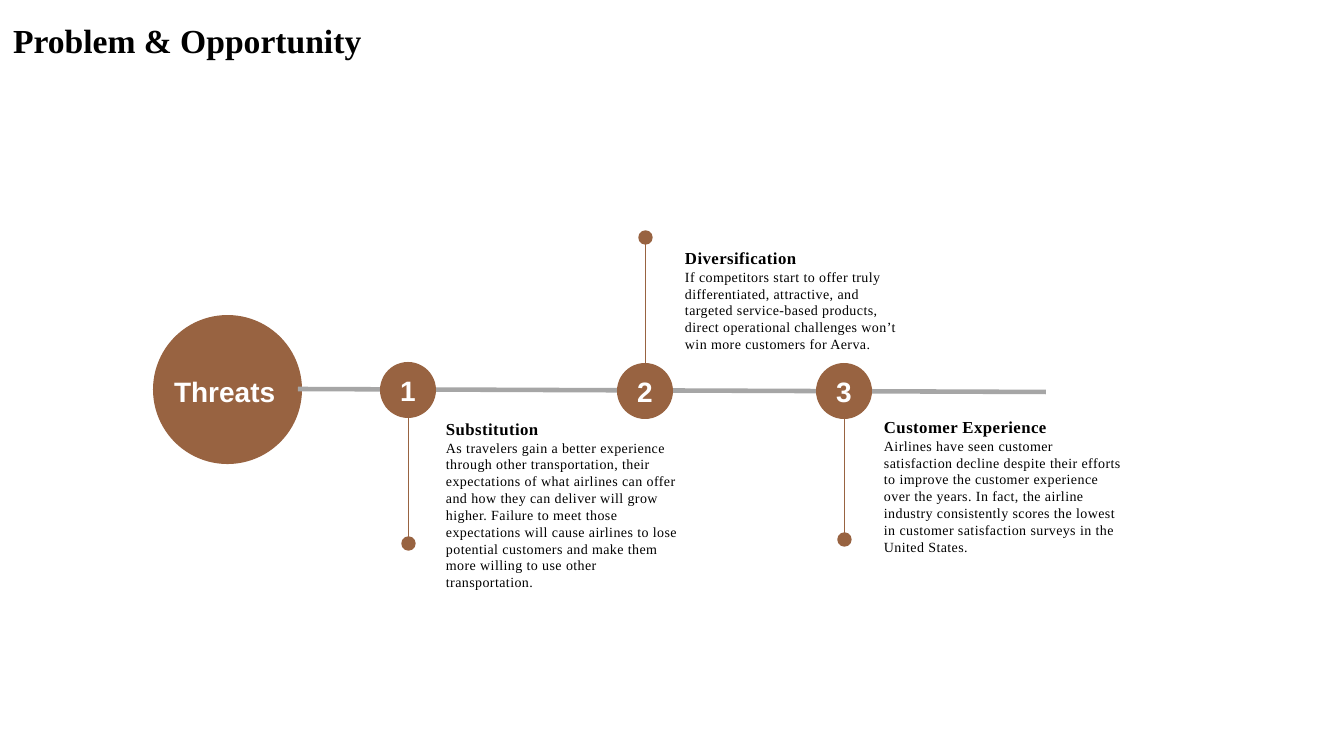
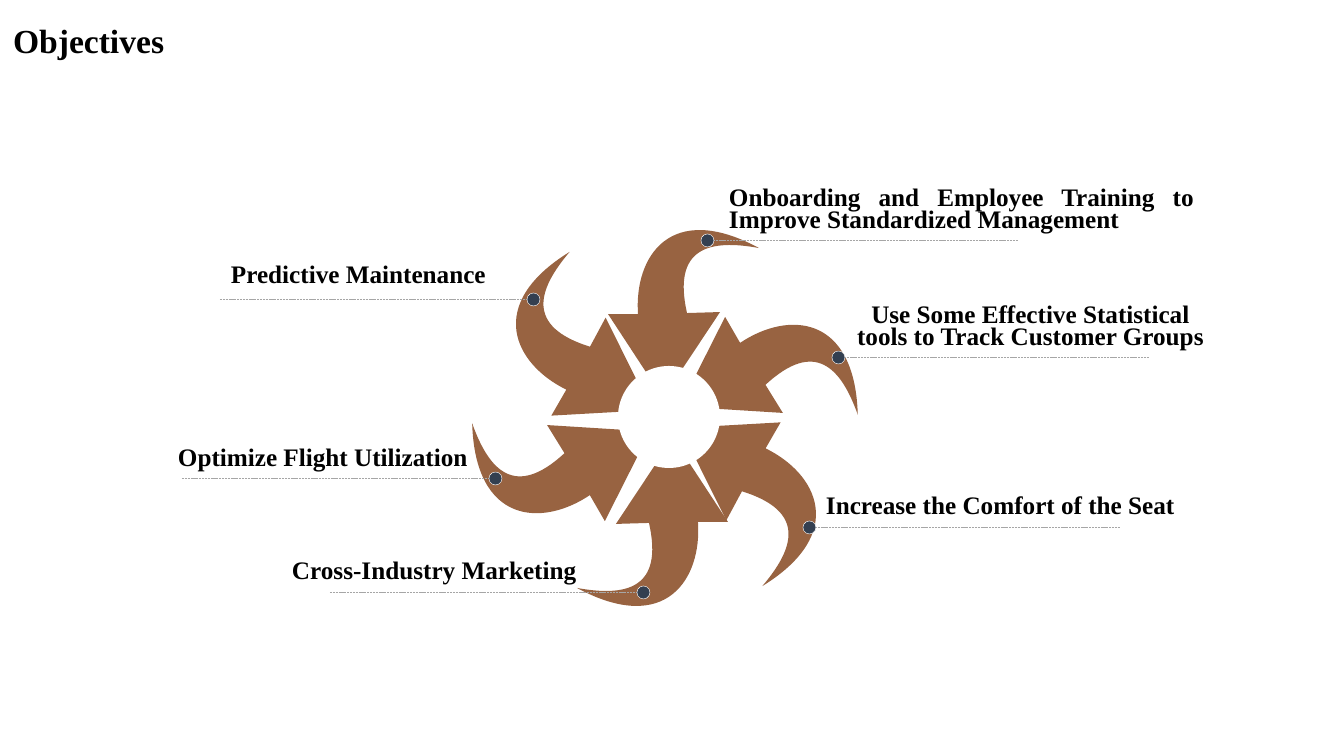
from lxml import etree
from pptx import Presentation
from pptx.dml.color import RGBColor
from pptx.enum.dml import MSO_LINE
from pptx.enum.shapes import MSO_CONNECTOR, MSO_SHAPE
from pptx.enum.text import MSO_ANCHOR, MSO_AUTO_SIZE, PP_ALIGN
from pptx.oxml.ns import qn
from pptx.util import Emu, Pt

ELLIPSE = MSO_SHAPE.OVAL
STRAIGHT = MSO_CONNECTOR.STRAIGHT
SYS_DASH = MSO_LINE.SQUARE_DOT
MIDDLE = MSO_ANCHOR.MIDDLE
TOP = MSO_ANCHOR.TOP
NO_FIT = MSO_AUTO_SIZE.NONE
LEFT, CENTER, JUSTIFY = PP_ALIGN.LEFT, PP_ALIGN.CENTER, PP_ALIGN.JUSTIFY

# Shared look
EMU_PER_PX = 914400 / 100.8
SLIDE_W, SLIDE_H = 1344, 756
BROWN, GREY, NAVY = "986341", "A6A6A6", "333F50"
BLACK, WHITE = "000000", "FFFFFF"
SERIF, SANS = "Times New Roman", "Arial"
TITLE_BOX = (0, 1, 447, 83)
INSET_X, INSET_Y = 13, 7
DOT = 13

# Timeline: marker left and top, end dot top
MARKER = 56
STOPS = [
    ("1", 380, 362, 537),
    ("3", 816, 363, 533),
    ("2", 617, 363, 231),
]
# Heading, body, box, heading line spacing
THREATS = [
    ("Substitution",
     "As travelers gain a better experience through other transportation, "
     "their expectations of what airlines can offer and how they can deliver "
     "will grow higher. Failure to meet those expectations will cause "
     "airlines to lose potential customers and make them more willing to use "
     "other transportation.",
     (433, 406, 267, 175), 1.3),
    ("Diversification",
     "If competitors start to offer truly differentiated, attractive, and "
     "targeted service-based products, direct operational challenges won’t "
     "win more customers for Aerva.",
     (672, 231, 248, 129), 1.5),
    ("Customer Experience",
     "Airlines have seen customer satisfaction decline despite their efforts "
     "to improve the customer experience over the years. In fact, the airline "
     "industry consistently scores the lowest in customer satisfaction "
     "surveys in the United States.",
     (871, 404, 267, 159), 1.3),
]

# Wheel: arrow outline inside its own box, then left, top, rotation
ARROW_H = 167
ARROW_HEAD = [(39, 86), (96, 0), (151, 84), (121, 84)]
ARROW_TAIL = [
    [(125, 141), (89, 198), (0, 150)],
    [(49, 159), (87, 151), (72, 85)],
]
ARROWS = [(577, 438, 0), (667, 404, 300), (687, 299, 240),
          (608, 231, 180), (514, 267, 120), (492, 372, 60)]
HUB = (618, 366, 102, 102)
LEADER = 308
# Text, box, alignment, dot left and top, leader direction
OBJECTIVES = [
    ("Predictive Maintenance", (218, 259, 319, 36), JUSTIFY, 527, 293, -1),
    ("Optimize Flight Utilization", (165, 442, 349, 36), LEFT, 489, 472, -1),
    ("Use Some Effective Statistical tools to Track Customer Groups",
     (838, 299, 385, 59), CENTER, 832, 351, 1),
    ("Onboarding and Employee Training to Improve Standardized Management",
     (716, 182, 491, 59), JUSTIFY, 701, 234, 1),
    ("Increase the Comfort of the Seat",
     (813, 490, 445, 36), JUSTIFY, 803, 521, 1),
    ("Cross-Industry Marketing", (279, 555, 410, 36), LEFT, 637, 586, -1),
]


def px(length):
    return Emu(round(length * EMU_PER_PX))


def color(hex_code):
    return RGBColor.from_string(hex_code)


def style(paragraph, size, font=SERIF, ink=BLACK, bold=True, align=LEFT,
          spacing=None, tracking=None):
    paragraph.alignment = align
    if spacing is not None:
        paragraph.line_spacing = spacing
    for run in paragraph.runs:
        run.font.name = font
        run.font.size = Pt(size)
        run.font.bold = bold
        run.font.color.rgb = color(ink)
        if tracking:
            run._r.get_or_add_rPr().set("spc", str(tracking))


def set_frame(frame, anchor=TOP):
    frame.word_wrap = True
    frame.auto_size = NO_FIT
    frame.vertical_anchor = anchor
    frame.margin_left = frame.margin_right = px(INSET_X)
    frame.margin_top = frame.margin_bottom = px(INSET_Y)


def add_text(shapes, box, text):
    frame = shapes.add_textbox(*map(px, box)).text_frame
    set_frame(frame)
    frame.text = text
    return frame


def paint(shape, fill, outline=None, weight=1):
    shape.shadow.inherit = False
    shape.fill.solid()
    shape.fill.fore_color.rgb = color(fill)
    if outline:
        shape.line.color.rgb = color(outline)
        shape.line.width = Pt(weight)
    else:
        shape.line.fill.background()


def add_circle(shapes, box, fill, outline=None, weight=1):
    circle = shapes.add_shape(ELLIPSE, *map(px, box))
    paint(circle, fill, outline, weight)
    return circle


def add_line(shapes, start, end, ink, weight, dash=None):
    line = shapes.add_connector(STRAIGHT, *map(px, start + end))
    line.line.color.rgb = color(ink)
    line.line.width = Pt(weight)
    if dash:
        line.line.dash_style = dash
    etree.SubElement(line._element.spPr, qn("a:effectLst"))


def add_titled_slide(prs, text):
    slide = prs.slides.add_slide(prs.slide_layouts[5])
    title = slide.shapes.title
    title.left, title.top, title.width, title.height = map(px, TITLE_BOX)
    set_frame(title.text_frame, MIDDLE)
    title.text_frame.text = text
    style(title.text_frame.paragraphs[0], 24, spacing=0.9)
    return slide


def add_stop(shapes, number, left, top, dot_top):
    stop = shapes.add_group_shape().shapes
    center = left + MARKER // 2
    marker = add_circle(stop, (left, top, MARKER, MARKER), BROWN)
    frame = marker.text_frame
    frame.margin_left = frame.margin_right = 0
    frame.vertical_anchor = MIDDLE
    frame.text = number
    style(frame.paragraphs[0], 20, SANS, WHITE, align=CENTER)
    # Stem between the facing edges of marker and dot
    if dot_top > top:
        stem_top, stem_bottom = top + MARKER - 3, dot_top + 3
    else:
        stem_top, stem_bottom = dot_top + DOT - 2, top + 4
    add_line(stop, (center, stem_top), (center, stem_bottom), BROWN, 0.5)
    add_circle(stop, (center - 6, dot_top, DOT, DOT), BROWN, BROWN)


def add_threat(shapes, heading, body, box, spacing):
    frame = add_text(shapes, box, heading)
    style(frame.paragraphs[0], 12, spacing=spacing, tracking=30)
    detail = frame.add_paragraph()
    detail.text = body
    style(detail, 10, bold=False, tracking=30)


def build_threats(prs):
    shapes = add_titled_slide(prs, "Problem & Opportunity").shapes
    # Start of the timeline
    add_circle(shapes, (153, 315, 149, 149), BROWN)
    topic = add_text(shapes, (161, 368, 131, 47), "Threats")
    style(topic.paragraphs[0], 20, SANS, WHITE)
    add_line(shapes, (298, 389), (1046, 392), GREY, 3.25)
    # Numbered stops and their explanations
    for stop in STOPS:
        add_stop(shapes, *stop)
    for threat in THREATS:
        add_threat(shapes, *threat)


def bend(segment, controls):
    """Turn a straight path segment into a cubic curve."""
    curve = etree.Element(qn("a:cubicBezTo"))
    for x, y in controls:
        etree.SubElement(curve, qn("a:pt"), x=str(px(x)), y=str(px(y)))
    segment.getparent().replace(segment, curve)


def add_arrow(shapes, left, top, rotation):
    corners = ARROW_HEAD + [controls[-1] for controls in ARROW_TAIL]
    points = [(px(left + x), px(top + y)) for x, y in corners]
    builder = shapes.build_freeform(*points[0])
    builder.add_line_segments(points[1:], close=True)
    arrow = builder.convert_to_shape()
    # The tail curves reach below the corner points
    outline = next(arrow._element.iter(qn("a:path")))
    outline.set("h", str(px(ARROW_H)))
    arrow.height = px(ARROW_H)
    segments = outline.findall(qn("a:lnTo"))
    first_tail = len(ARROW_HEAD) - 1
    for segment, controls in zip(segments[first_tail:], ARROW_TAIL):
        bend(segment, controls)
    arrow.rotation = rotation
    paint(arrow, BROWN)


def add_objective(shapes, text, box, align, dot_left, dot_top, direction):
    # Leader lines run left to right, ending or starting inside the dot
    start = dot_left + 9 if direction > 0 else dot_left + 1 - LEADER
    y = dot_top + 6
    add_line(shapes, (start, y), (start + LEADER, y), GREY, 0.5, SYS_DASH)
    add_circle(shapes, (dot_left, dot_top, DOT, DOT), NAVY, WHITE, 0.3)
    label = add_text(shapes, box, text)
    style(label.paragraphs[0], 18, align=align, spacing=Pt(16))


def build_objectives(prs):
    shapes = add_titled_slide(prs, "Objectives").shapes
    # Wheel of arrows around a white hub
    for arrow in ARROWS:
        add_arrow(shapes, *arrow)
    add_circle(shapes, HUB, WHITE)
    # Labels with leader lines
    for objective in OBJECTIVES:
        add_objective(shapes, *objective)


def main():
    prs = Presentation()
    prs.slide_width, prs.slide_height = px(SLIDE_W), px(SLIDE_H)
    build_threats(prs)
    build_objectives(prs)
    prs.save("out.pptx")


if __name__ == "__main__":
    main()
